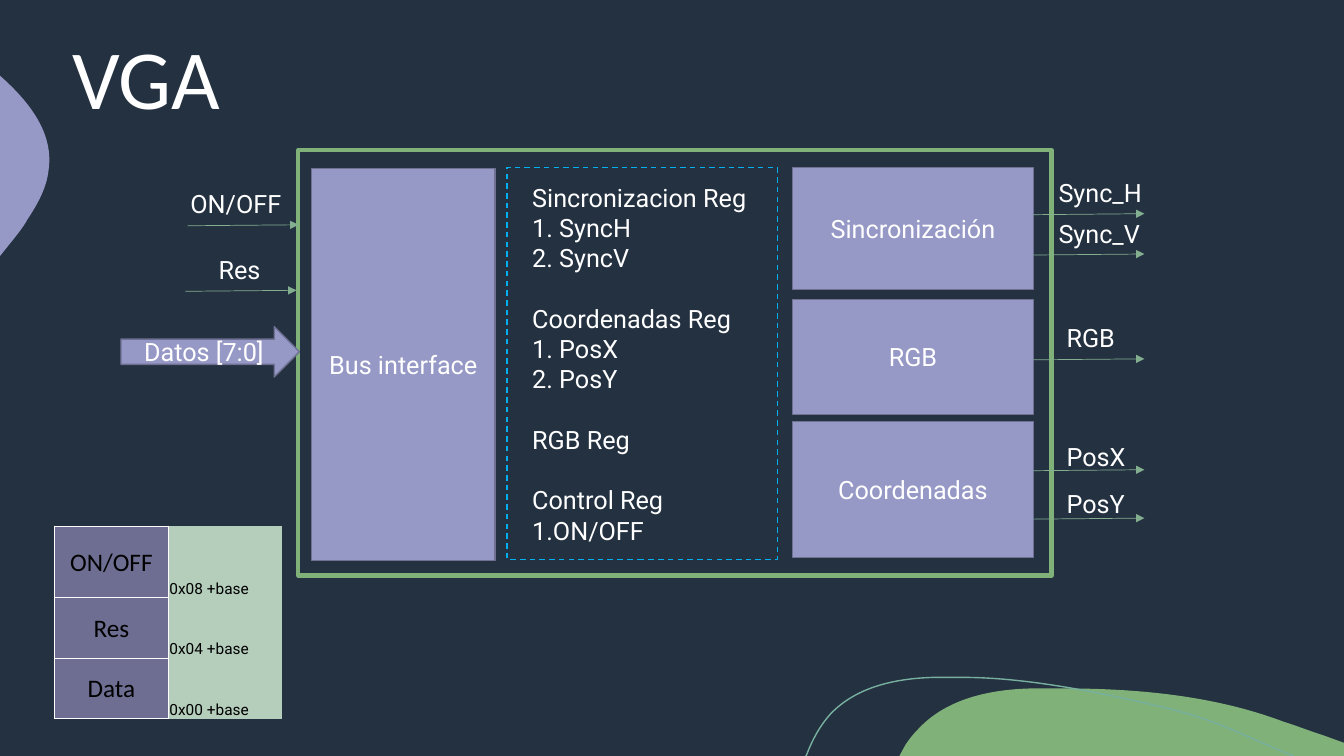
from lxml.etree import SubElement
from pptx import Presentation
from pptx.dml.color import RGBColor
from pptx.enum.dml import MSO_LINE
from pptx.enum.shapes import MSO_CONNECTOR, MSO_SHAPE
from pptx.enum.text import MSO_ANCHOR, PP_ALIGN
from pptx.oxml import parse_xml
from pptx.oxml.ns import nsdecls, qn
from pptx.util import Emu, Pt

PX = 9144  # 100 px to the inch
WHITE, BLACK = "FFFFFF", "000000"
LILAC, GREEN, MINT = "9698C6", "80B179", "84AE90"
color = RGBColor.from_string


def write(frame, lines, size=18, font="Roboto", ink=WHITE, align=PP_ALIGN.LEFT):
    for i, line in enumerate(lines):
        para = frame.paragraphs[0] if i == 0 else frame.add_paragraph()
        para.alignment = align
        run = para.add_run()
        run.text = line
        run.font.size = Pt(size)
        run.font.name = font
        run.font.color.rgb = color(ink)


def style(shape, fill=None, line=None, width=1):
    shape.shadow.inherit = False
    if fill:
        shape.fill.solid()
        shape.fill.fore_color.rgb = color(fill)
    else:
        shape.fill.background()
    if line:
        shape.line.color.rgb = color(line)
        shape.line.width = Pt(width)
    else:
        shape.line.fill.background()


deck = Presentation()
deck.slide_width, deck.slide_height = Emu(1333 * PX), Emu(750 * PX)
slide = deck.slides.add_slide(deck.slide_layouts[6])
slide.background.fill.solid()
slide.background.fill.fore_color.rgb = color("243141")
shapes = slide.shapes

# Decorative curves: one point is a straight step, three are a Bezier step
hill = [[(1054, 683)],
        [(1128, 683), (1204, 690), (1273, 716)],
        [(1286, 720), (1298, 725), (1311, 729)],
        [(1333, 737)], [(1333, 750)], [(892, 750)], [(898, 739)],
        [(902, 733), (906, 728), (911, 723)],
        [(939, 693), (982, 684), (1023, 683)],
        [(1033, 683), (1043, 683), (1054, 683)]]
drop = [[(0, 75)], [(1, 76)],
        [(30, 102), (54, 133), (48, 170)],
        [(46, 187), (37, 203), (27, 218)],
        [(24, 224), (17, 233), (8, 244)], [(0, 254)]]
wave = [[(799, 750)], [(800, 749)],
        [(806, 733), (814, 719), (824, 708)],
        [(850, 681), (889, 673), (926, 672)], [(955, 672)],
        [(1022, 672), (1100, 689), (1155, 702)],
        [(1209, 715), (1226, 727), (1283, 750)]]
for curve, wide, fill, line in [(hill, 441, GREEN, None), (drop, 49, LILAC, None),
                                (wave, 484, None, "78B09F")]:
    dots = [dot for step in curve for dot in step]
    pen = shapes.build_freeform(*dots[0], scale=PX)
    pen.add_line_segments(dots[1:], close=bool(fill))
    shape = pen.convert_to_shape()
    trace = next(shape._element.iter(qn("a:path")))
    legs = iter(trace.findall(qn("a:lnTo")))
    for step in curve[1:]:
        leg = next(legs)
        if len(step) == 3:
            leg.tag = qn("a:cubicBezTo")
            for _ in range(2):
                extra = next(legs)
                leg.append(extra[0])
                trace.remove(extra)
    shape.width = Emu(wide * PX)
    trace.set("w", str(wide))
    style(shape, fill, line)

# Title
title = shapes.add_textbox(-19 * PX, -13 * PX, 328 * PX, 145 * PX).text_frame
title.word_wrap = True
title.vertical_anchor = MSO_ANCHOR.BOTTOM
write(title, ["VGA"], 60, "Calibri", align=PP_ALIGN.CENTER)
title.paragraphs[0].line_spacing = 0.9

# Module frame and register outline
frame = shapes.add_shape(MSO_SHAPE.RECTANGLE, 296 * PX, 149 * PX, 747 * PX, 422 * PX)
style(frame, None, GREEN, 3)
bank = shapes.add_shape(MSO_SHAPE.RECTANGLE, 503 * PX, 166 * PX, 268 * PX, 389 * PX)
style(bank, None, "00B0F0")
bank.line.dash_style = MSO_LINE.DASH

# Blocks and the data arrow
for kind, name, x, y, w, h in [
        (MSO_SHAPE.RECTANGLE, "Bus interface", 309, 167, 182, 389),
        (MSO_SHAPE.RIGHT_ARROW, "Datos [7:0]", 120, 324, 177, 50),
        (MSO_SHAPE.RECTANGLE, "Sincronización", 786, 166, 239, 121),
        (MSO_SHAPE.RECTANGLE, "RGB", 786, 297, 239, 114),
        (MSO_SHAPE.RECTANGLE, "Coordenadas", 786, 418, 239, 135)]:
    block = shapes.add_shape(kind, x * PX, y * PX, w * PX, h * PX)
    style(block, LILAC, "6F7092")
    block.text_frame.vertical_anchor = MSO_ANCHOR.MIDDLE
    write(block.text_frame, [name], align=PP_ALIGN.CENTER)

# Signals: arrow start, then label place
for name, x, y, left, top, w in [
        ("ON/OFF", 186, 224, 179, 182, 130), ("Res", 184, 289, 207, 247, 100),
        ("Sync_H", 1025, 213, 1040, 171, 119), ("Sync_V", 1025, 253, 1040, 212, 119),
        ("RGB", 1025, 357, 1048, 315, 100), ("PosX", 1025, 467, 1048, 433, 100),
        ("PosY", 1025, 515, 1048, 480, 100)]:
    wire = shapes.add_connector(MSO_CONNECTOR.STRAIGHT, x * PX, y * PX,
                                (x + 110) * PX, (y - 1) * PX)
    wire.line.color.rgb = color(MINT)
    wire.line.width = Pt(0.5)
    SubElement(wire.line._get_or_add_ln(), qn("a:tailEnd"), type="triangle")
    SubElement(wire._element.spPr, qn("a:effectLst"))
    label = shapes.add_textbox(left * PX, top * PX, w * PX, 40 * PX).text_frame
    label.word_wrap = True
    write(label, [name])

# Register list, one blank line's space above each later heading
regs = shapes.add_textbox(518 * PX, 176 * PX, 238 * PX, 434 * PX).text_frame
regs.word_wrap = True
write(regs, ["Sincronizacion Reg", "1. SyncH", "2. SyncV",
             "Coordenadas Reg", "1. PosX", "2. PosY",
             "RGB Reg", "Control Reg", "1.ON/OFF"])
for para in regs.paragraphs[1:]:
    if para.text.endswith("Reg"):
        para.space_before = Pt(21.6)

# Address map: three rows to a register
grid = shapes.add_table(9, 2, 54 * PX, 522 * PX, 226 * PX, 180 * PX).table
grid.first_row = grid.horz_banding = False
grid._tbl.tblPr.find(qn("a:tableStyleId")).text = "{2D5ABB26-0587-4C30-8999-92F81FD0307C}"
for col in grid.columns:
    col.width = Emu(113 * PX)
for row in grid.rows:
    row.height = Emu(20 * PX)
    for c, cell in enumerate(row.cells):
        cell.margin_left = cell.margin_right = cell.margin_top = Emu(PX)
        cell.margin_bottom = 0
        cell.fill.solid()
        cell.fill.fore_color.rgb = color(("6D6E91", "B5CEBC")[c])
        SubElement(cell.text_frame.paragraphs[0]._p, qn("a:endParaRPr"), sz="1100")
        if c == 0:
            for i, side in enumerate("LRTB"):
                cell._tc.tcPr.insert(i, parse_xml(
                    f'<a:ln{side} {nsdecls("a")} w="12700"><a:solidFill>'
                    f'<a:srgbClr val="{WHITE}"/></a:solidFill></a:ln{side}>'))
for i, (name, base) in enumerate([("ON/OFF", "0x08"), ("Res", "0x04"), ("Data", "0x00")]):
    head, foot = grid.cell(3 * i, 0), grid.cell(3 * i + 2, 1)
    head.merge(grid.cell(3 * i + 2, 0))
    head.vertical_anchor = MSO_ANCHOR.MIDDLE
    write(head.text_frame, [name], 18, "Calibri", BLACK, PP_ALIGN.CENTER)
    foot.vertical_anchor = MSO_ANCHOR.BOTTOM
    write(foot.text_frame, [base + " +base"], 11, ink=BLACK)

deck.save("out.pptx")
